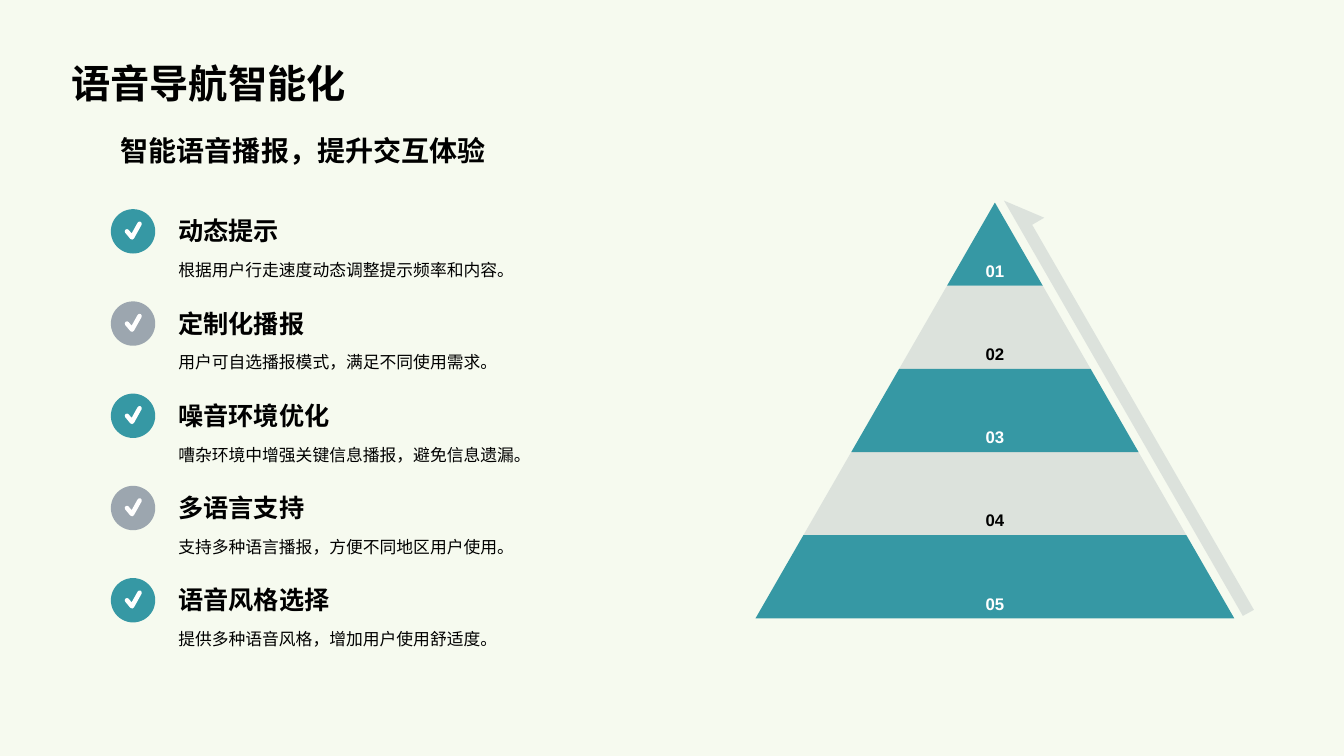
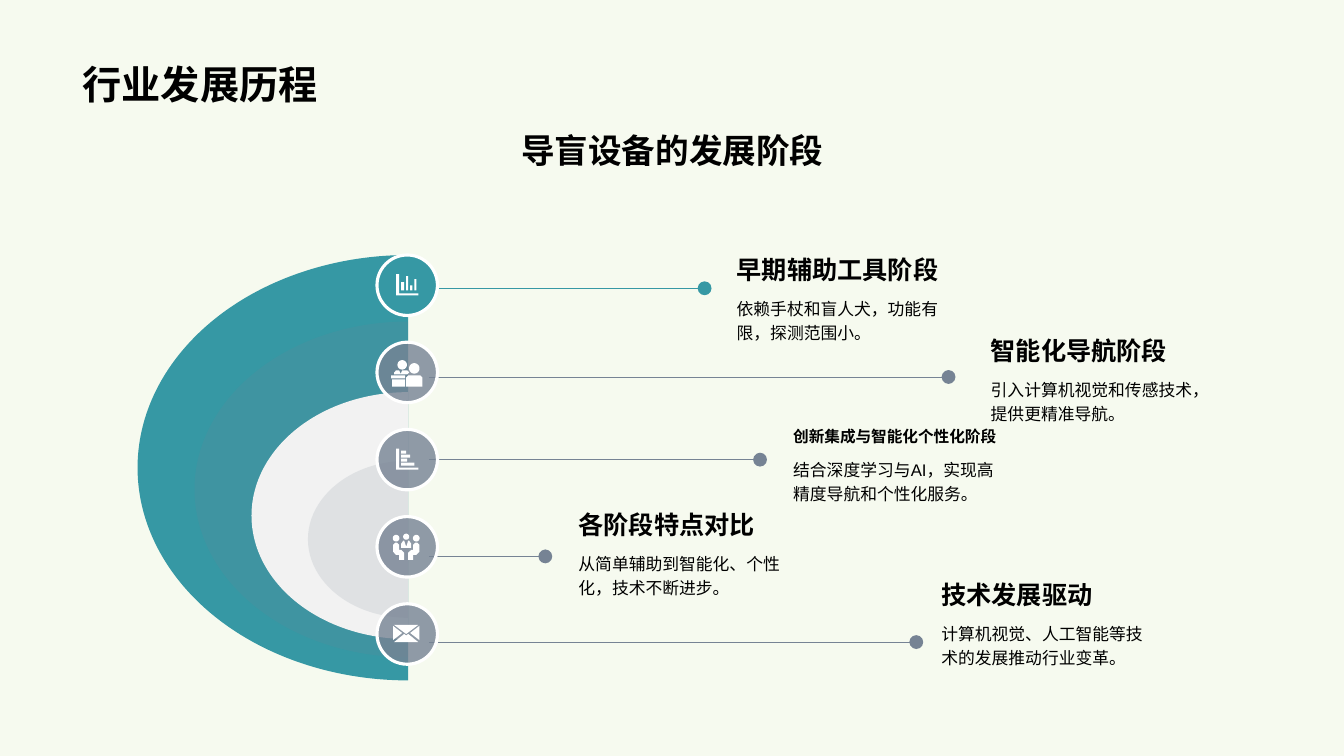
"""Build two slides on voice navigation and the history of guide devices."""
from math import cos, pi, sin

from lxml.etree import SubElement
from pptx import Presentation
from pptx.dml.color import RGBColor
from pptx.enum.shapes import MSO_CONNECTOR as Line, MSO_SHAPE as Preset
from pptx.enum.text import MSO_ANCHOR as Anchor, PP_ALIGN as Align
from pptx.oxml.ns import qn
from pptx.util import Inches, Pt

COLORS = {"paper": "F6FAEF", "teal": "3698A4", "slate": "768394",
          "mist": "F2F2F2", "white": "FFFFFF", "ink": "000000"}
FONT = "Arial"
CELL = Inches(0.1)
COLUMNS, ROWS = 133.33, 75

FEATURES = [
    ("动态提示", "根据用户行走速度动态调整提示频率和内容。"),
    ("定制化播报", "用户可自选播报模式，满足不同使用需求。"),
    ("噪音环境优化", "嘈杂环境中增强关键信息播报，避免信息遗漏。"),
    ("多语言支持", "支持多种语言播报，方便不同地区用户使用。"),
    ("语音风格选择", "提供多种语音风格，增加用户使用舒适度。"),
]


def box(left, top, right, bottom):
    """Return the corners of a rectangle."""
    return [(left, top), (right, top), (right, bottom), (left, bottom)]


def disc(x, y, radius, sides=24):
    """Return points around a circle."""
    return [(x + radius * cos(2 * pi * i / sides), y + radius * sin(2 * pi * i / sides))
            for i in range(sides)]


def mirrored(points, axis=-0.1):
    """Reflect points across a vertical axis."""
    return [(2 * axis - x, y) for x, y in points]


AXES = [(-1.1, -1.1), (-0.8, -1.1), (-0.8, 0.8), (1.1, 0.8), (1.1, 1), (-1.1, 1)]
SITTER = [(0.1, 1.3), (0.1, 0.6), (0.4, 0.3), (0.6, 0.3), (0.6, -0.2), (0.8, -0.4),
          (1, -0.4), (1.2, -0.2), (1.2, 0.5), (0.9, 0.8), (0.6, 0.8), (0.6, 1.3)]
SITTER_HEAD = disc(0.9, -0.85, 0.33)
FLAP = [(-1.4, 0.6), (-1.4, -0.8), (-0.5, -0.1)]
ICONS = {
    "columns": [AXES, box(0.3, 0, 0.5, 0.5), box(-0.6, -0.3, -0.3, 0.5),
                box(0.7, -0.6, 0.9, 0.5), box(-0.1, -0.9, 0.1, 0.5)],
    "bars": [AXES, box(-0.6, 0.3, 0.7, 0.6), box(-0.6, -0.1, 0, 0.2),
             box(-0.6, -0.5, 0.3, -0.2), box(-0.6, -0.9, -0.1, -0.6)],
    "desk": [box(-1.5, 0.7, -0.2, 1.4), box(-1.6, 0.3, -0.2, 0.6),
             [(-0.1, 1.4), (-0.1, 0.5), (0.1, 0.3), (1.3, 0.3), (1.5, 0.5), (1.5, 1.4)],
             [(-1.3, 0.2), (-1.3, 0), (-1.1, -0.2), (-0.8, -0.2), (-0.65, 0.15),
              (-0.5, -0.2), (0, -0.2), (0.2, 0), (0, 0.2)],
             disc(0.7, -0.4, 0.52), disc(-0.5, -0.75, 0.47)],
    "meeting": [SITTER, mirrored(SITTER), SITTER_HEAD, mirrored(SITTER_HEAD),
                disc(-0.1, -1, 0.3),
                [(-0.6, 0.1), (-0.6, -0.3), (-0.4, -0.6), (-0.3, -0.6), (-0.1, 0),
                 (0.1, -0.6), (0.2, -0.6), (0.4, -0.3), (0.4, 0.1)]],
    "envelope": [FLAP, mirrored(FLAP), [(-1.3, -0.9), (1.1, -0.9), (-0.1, 0)],
                 [(-1.3, 0.8), (-0.3, 0), (-0.1, 0.15), (0.1, 0), (1.1, 0.8)]],
}
STAGES = [
    ("早期辅助工具阶段", "依赖手杖和盲人犬，功能有限，探测范围小。",
     "columns", 69.9, 28.6, 72.1, 24.6, 23.2, 18),
    ("智能化导航阶段", "引入计算机视觉和传感技术，提供更精准导航。",
     "desk", 94.1, 37.4, 97.3, 32.7, 22.2, 18),
    ("创新集成与智能化个性化阶段", "结合深度学习与AI，实现高精度导航和个性化服务。",
     "bars", 75.4, 45.6, 77.7, 40.6, 22.2, 11.2),
    ("各阶段特点对比", "从简单辅助到智能化、个性化，技术不断进步。",
     "meeting", 54.1, 55.2, 56.4, 49.9, 22.2, 18),
    ("技术发展驱动", "计算机视觉、人工智能等技术的发展推动行业变革。",
     "envelope", 90.9, 63.7, 92.4, 56.9, 22.2, 18),
]
LAYERS = [(53.7, 42.2, 25.3, "teal", 100), (42.4, 33.3, 31.9, "slate", 15),
          (31.1, 24.5, 38.9, "mist", 100), (19.9, 15.6, 45.7, "slate", 15)]


def grid(*cells):
    """Convert grid cells to slide lengths."""
    return [round(cell * CELL) for cell in cells]


def rgb(name):
    """Look up a named colour."""
    return RGBColor.from_string(COLORS[name])


def paint(shape, color, opacity=100):
    """Give a shape a flat fill and no outline or shadow."""
    shape.shadow.inherit = False
    shape.line.fill.background()
    shape.fill.solid()
    shape.fill.fore_color.rgb = rgb(color)
    if opacity < 100:
        tint = shape.element.spPr.find(qn("a:solidFill")).find(qn("a:srgbClr"))
        SubElement(tint, qn("a:alpha")).set("val", str(opacity * 1000))
    return shape


def write(shape, words, size, bold=False, color="ink", align=Align.LEFT,
          anchor=Anchor.TOP, spacing=None):
    """Set and format one paragraph."""
    frame = shape.text_frame
    frame.text = words
    frame.word_wrap = True
    frame.vertical_anchor = anchor
    paragraph = frame.paragraphs[0]
    paragraph.alignment = align
    paragraph.line_spacing = spacing
    font = paragraph.runs[0].font
    font.name, font.size, font.bold = FONT, Pt(size), bold
    font.color.rgb = rgb(color)


def label(slide, area, words, size, **style):
    """Add a text box on the grid."""
    write(slide.shapes.add_textbox(*grid(*area)), words, size, **style)


def entry(slide, left, top, width, heading, detail, size=18):
    """Add a heading with its detail below."""
    label(slide, (left, top, width, 4.1), heading, size, bold=True, anchor=Anchor.BOTTOM)
    label(slide, (left, top + 4.1, width, 6.2), detail, 12, spacing=1.2)


def outline(slide, contours, x=0, y=0, close=True):
    """Draw contours, offset by x and y, as one freeform."""
    placed = [[grid(x + dx, y + dy) for dx, dy in points] for points in contours]
    pen = slide.shapes.build_freeform(*placed[0][0], scale=1)
    for number, points in enumerate(placed):
        if number:
            pen.move_to(*points[0])
        pen.add_line_segments(points[1:], close=close)
    return pen.convert_to_shape()


def circle(slide, x, y, diameter, color, opacity):
    """Add a circle around a centre."""
    area = grid(x - diameter / 2, y - diameter / 2, diameter, diameter)
    return paint(slide.shapes.add_shape(Preset.OVAL, *area), color, opacity)


def check_badge(slide, x, y, color, opacity):
    """Add a circle holding a rounded check mark."""
    circle(slide, x, y, 4.4, color, opacity)
    tick = outline(slide, [[(-0.6, 0), (-0.1, 0.6), (0.65, -0.75)]], x, y, close=False)
    tick.shadow.inherit = False
    tick.fill.background()
    tick.line.color.rgb = rgb("white")
    tick.line.width = Pt(3.2)
    stroke = tick.line._get_or_add_ln()
    stroke.set("cap", "rnd")
    SubElement(stroke, qn("a:round"))


def pyramid(slide, center, top, levels, step, half_step):
    """Stack numbered bands that widen downward."""
    for level in range(levels):
        upper, lower = level * half_step, (level + 1) * half_step
        corners = [(-upper, 0), (upper, 0), (lower, step), (-lower, step)]
        band = outline(slide, [corners], center, top + level * step)
        strong = level % 2 == 0
        paint(band, "teal" if strong else "slate", 100 if strong else 20)
        write(band, f"{level + 1:02}", 12, bold=True, color="white" if strong else "ink",
              align=Align.CENTER, anchor=Anchor.BOTTOM)


def leader(slide, start, end, y, color):
    """Add a thin line that ends in a dot."""
    line = slide.shapes.add_connector(Line.STRAIGHT, *grid(start, y, end, y))
    line.line.color.rgb = rgb(color)
    line.line.width = Pt(0.5)
    dot = SubElement(line.line._get_or_add_ln(), qn("a:tailEnd"))
    for key, value in (("type", "oval"), ("w", "lg"), ("len", "lg")):
        dot.set(key, value)
    SubElement(line.element.spPr, qn("a:effectLst"))


def titled_slide(deck, title, left, top):
    """Add a title-only slide with a formatted title."""
    slide = deck.slides.add_slide(deck.slide_layouts[5])
    heading = slide.shapes.title
    heading.left, heading.top, heading.width, heading.height = grid(left, top, 118.8, 9.8)
    write(heading, title, 28, bold=True, anchor=Anchor.BOTTOM)
    return slide


def voice_slide(deck):
    """Build the feature list and the pyramid."""
    slide = titled_slide(deck, "语音导航智能化", 6.1, 1.3)
    label(slide, (11, 12.8, 57.9, 5.8), "智能语音播报，提升交互体验", 20, bold=True)
    for row, (heading, detail) in enumerate(FEATURES):
        top = 20.8 + row * 9.15
        check_badge(slide, 13.2, top + 2.15, *(("slate", 70) if row % 2 else ("teal", 100)))
        entry(slide, 16.7, top, 56.2, heading, detail)
    arrow = [(99.6, 19.9), (103.6, 21.6), (102.4, 22.3), (124.4, 60.5), (123.3, 61.1)]
    paint(outline(slide, [arrow]), "slate", 20)
    pyramid(slide, 98.7, 20.1, 5, 8.25, 4.75)


def history_slide(deck):
    """Build the half rings and the stages linked to them."""
    slide = titled_slide(deck, "行业发展历程", 7.2, 1.4)
    label(slide, (7.4, 12.4, 118.6, 9.5), "导盲设备的发展阶段", 24, bold=True,
          align=Align.CENTER)
    for width, height, top, color, opacity in LAYERS:
        area = grid(40.5 - width / 2, top, width, height)
        half = paint(slide.shapes.add_shape(Preset.PIE, *area), color, opacity)
        half.adjustments[0], half.adjustments[1] = 54, 162
    for row, stage in enumerate(STAGES):
        heading, detail, icon, line_end, line_y, left, top, width, size = stage
        color, opacity = ("slate", 80) if row else ("teal", 100)
        leader(slide, 42.6, line_end, line_y, color)
        center_y = 28.3 + row * 8.65
        badge = circle(slide, 40.4, center_y, 6, color, opacity)
        badge.line.color.rgb = rgb("white")
        badge.line.width = Pt(2.25)
        paint(outline(slide, ICONS[icon], 40.4, center_y), "white")
        entry(slide, left, top, width, heading, detail, size)


def main():
    """Build and save the deck."""
    deck = Presentation()
    deck.slide_width, deck.slide_height = grid(COLUMNS, ROWS)
    paper = deck.slide_master.background.fill
    paper.solid()
    paper.fore_color.rgb = rgb("paper")
    voice_slide(deck)
    history_slide(deck)
    deck.save("out.pptx")


if __name__ == "__main__":
    main()
